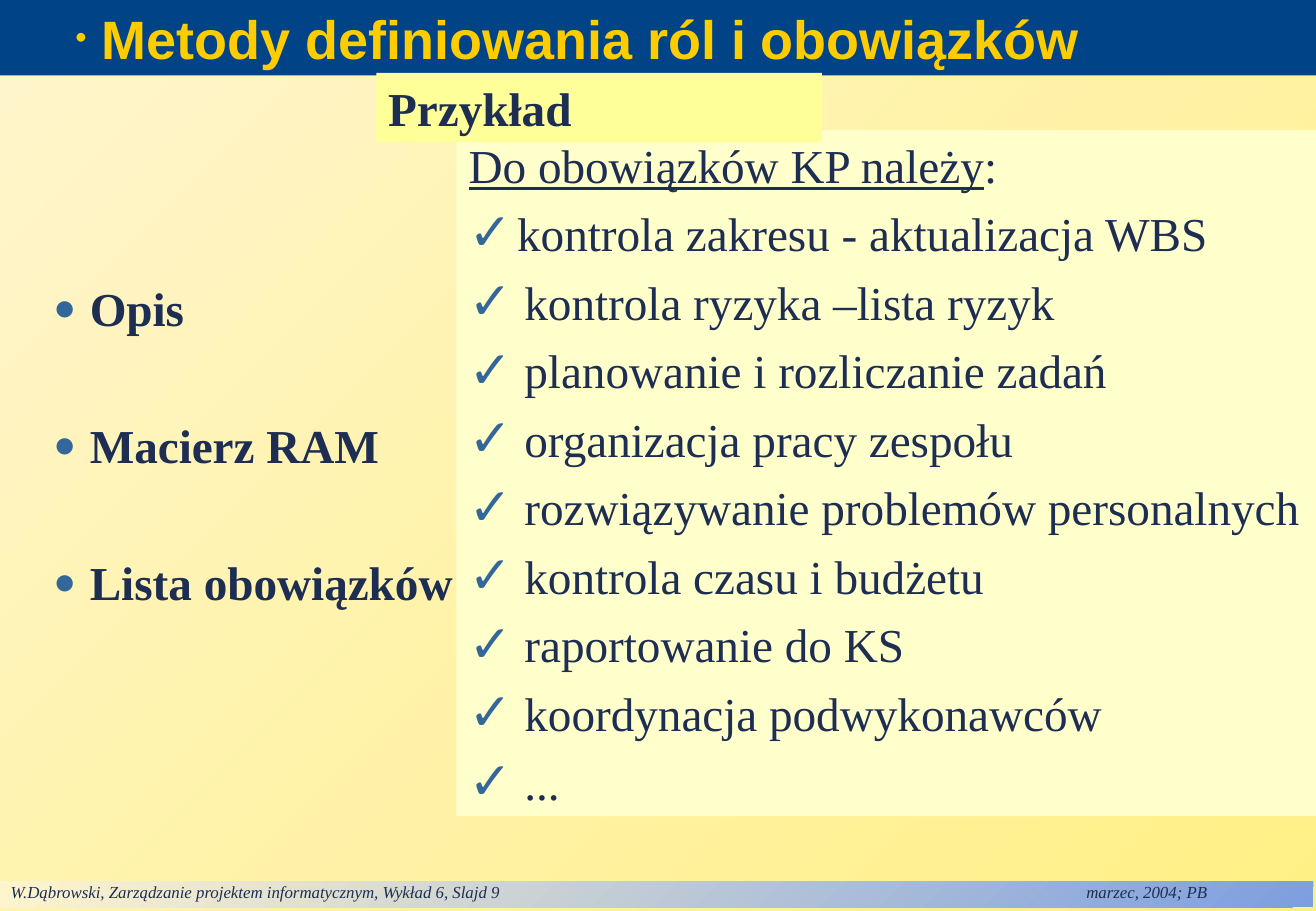
from lxml import etree
from pptx import Presentation
from pptx.dml.color import RGBColor
from pptx.enum.text import MSO_ANCHOR, MSO_AUTO_SIZE, PP_ALIGN
from pptx.oxml.ns import qn
from pptx.util import Inches, Pt

COLORS = {
    "navy": "004386", "gold": "FFCC00", "ink": "1E2E53", "bullet": "336699",
    "list": "FFFFCC", "label": "FFFF99", "cream": "FFF5CD",
    "yellow": "FFF085", "blue": "7D9EDF",
}
SERIF = "Times New Roman"
METHODS = ["Opis", "Macierz RAM", "Lista obowiązków"]
DUTIES = [
    "kontrola zakresu - aktualizacja WBS", "kontrola ryzyka –lista ryzyk",
    "planowanie i rozliczanie zadań", "organizacja pracy zespołu",
    "rozwiązywanie problemów personalnych", "kontrola czasu i budżetu",
    "raportowanie do KS", "koordynacja podwykonawców", "...",
]


def color(name):
    """Return the named colour."""
    return RGBColor.from_string(COLORS[name])


def set_gradient(fill, start):
    """Fade from a colour at the lower right to cream at the upper left."""
    fill.gradient()
    fill.gradient_angle = 135
    for stop, name in zip(fill.gradient_stops, (start, "cream")):
        stop.color.rgb = color(name)


def set_box(shape, box, fill=None, top=0.05, right=0.05, anchor=MSO_ANCHOR.TOP):
    """Place a text shape, set its margins and return its text frame."""
    shape.left, shape.top, shape.width, shape.height = map(Inches, box)
    if fill:
        shape.fill.solid()
        shape.fill.fore_color.rgb = color(fill)
    frame = shape.text_frame
    frame.auto_size = MSO_AUTO_SIZE.NONE
    frame.word_wrap = True
    frame.vertical_anchor = anchor
    frame.margin_left, frame.margin_right = Inches(0.1), Inches(right)
    frame.margin_top, frame.margin_bottom = Inches(top), Inches(0)
    return frame


def next_paragraph(frame, space=0):
    """Return the first empty paragraph or a new one below a gap."""
    first = frame.paragraphs[0]
    paragraph = frame.add_paragraph() if first.runs else first
    paragraph.alignment = PP_ALIGN.LEFT
    paragraph.space_before = Pt(space if first.runs else 0)
    return paragraph


def add_run(paragraph, text, size=28, font=SERIF, ink="ink", bold=False,
            italic=False, underline=False):
    """Add one formatted run."""
    run = paragraph.add_run()
    run.text = text
    run.font.name, run.font.size = font, Pt(size)
    run.font.bold, run.font.italic, run.font.underline = bold, italic, underline
    run.font.color.rgb = color(ink)


def set_bullet(paragraph, char, name, percent, margin, hanging):
    """Give a paragraph a coloured bullet and a hanging indent."""
    properties = paragraph._p.get_or_add_pPr()
    properties.set("marL", str(Inches(margin)))
    properties.set("indent", str(-Inches(hanging)))
    bullet_color = etree.SubElement(properties, qn("a:buClr"))
    etree.SubElement(bullet_color, qn("a:srgbClr"), val=COLORS[name])
    etree.SubElement(properties, qn("a:buSzPct"), val=str(percent * 1000))
    etree.SubElement(properties, qn("a:buFont"), typeface="Arial")
    etree.SubElement(properties, qn("a:buChar"), char=char)


def remove_bullet(paragraph):
    """Set a paragraph flush left without a bullet."""
    properties = paragraph._p.get_or_add_pPr()
    properties.set("marL", "0")
    properties.set("indent", "0")
    etree.SubElement(properties, qn("a:buNone"))


def add_title(title):
    """Fill the title band."""
    frame = set_box(title, (0, 0, 10.84, 0.62), "navy", 0, anchor=MSO_ANCHOR.MIDDLE)
    paragraph = next_paragraph(frame)
    set_bullet(paragraph, "•", "gold", 60, 0.74, 0.22)
    add_run(paragraph, "Metody definiowania ról i obowiązków", 32, "Arial", "gold", bold=True)


def add_methods(body):
    """Fill the list of methods."""
    frame = set_box(body, (-0.34, 2.25, 4.18, 2.83), right=0)
    for method in METHODS:
        paragraph = next_paragraph(frame, 47.5)
        set_bullet(paragraph, "●", "bullet", 80, 0.98, 0.3)
        add_run(paragraph, method, bold=True)


def add_duties(body):
    """Fill the checklist of duties."""
    frame = set_box(body, (3.76, 1.07, 7.08, 5.65), "list")
    heading = next_paragraph(frame)
    remove_bullet(heading)
    add_run(heading, "Do obowiązków KP należy", underline=True)
    add_run(heading, ":")
    for duty in DUTIES:
        paragraph = next_paragraph(frame, 7)
        margin = 0.4 if duty == DUTIES[0] else 0.46
        set_bullet(paragraph, "✓", "bullet", 110, margin, margin)
        add_run(paragraph, duty)


def add_label(slide):
    """Add the example label above the checklist."""
    box = (3.1, 0.6, 3.67, 0.57)
    frame = set_box(slide.shapes.add_textbox(*map(Inches, box)), box, "label")
    add_run(next_paragraph(frame), "Przykład", bold=True)


def add_footer(slide):
    """Add the footer strip with a tabbed date."""
    box = (-0.01, 7.26, 10.83, 0.21)
    shape = slide.shapes.add_textbox(*map(Inches, box))
    frame = set_box(shape, box, top=0)
    set_gradient(shape.fill, "blue")
    paragraph = next_paragraph(frame)
    tabs = etree.SubElement(paragraph._p.get_or_add_pPr(), qn("a:tabLst"))
    etree.SubElement(tabs, qn("a:tab"), pos=str(Inches(8.86)), algn="l")
    add_run(paragraph, "W.Dąbrowski, Zarządzanie projektem informatycznym, Wykład 6, Slajd 9"
            "\tmarzec, 2004; PB", 10, italic=True)


def main():
    """Build and save the slide."""
    presentation = Presentation()
    presentation.slide_width, presentation.slide_height = Inches(10.84), Inches(7.5)
    slide = presentation.slides.add_slide(presentation.slide_layouts[3])
    set_gradient(slide.background.fill, "yellow")
    title, methods, duties = slide.placeholders
    add_title(title)
    add_methods(methods)
    add_duties(duties)
    add_label(slide)
    add_footer(slide)
    presentation.save("out.pptx")


if __name__ == "__main__":
    main()
